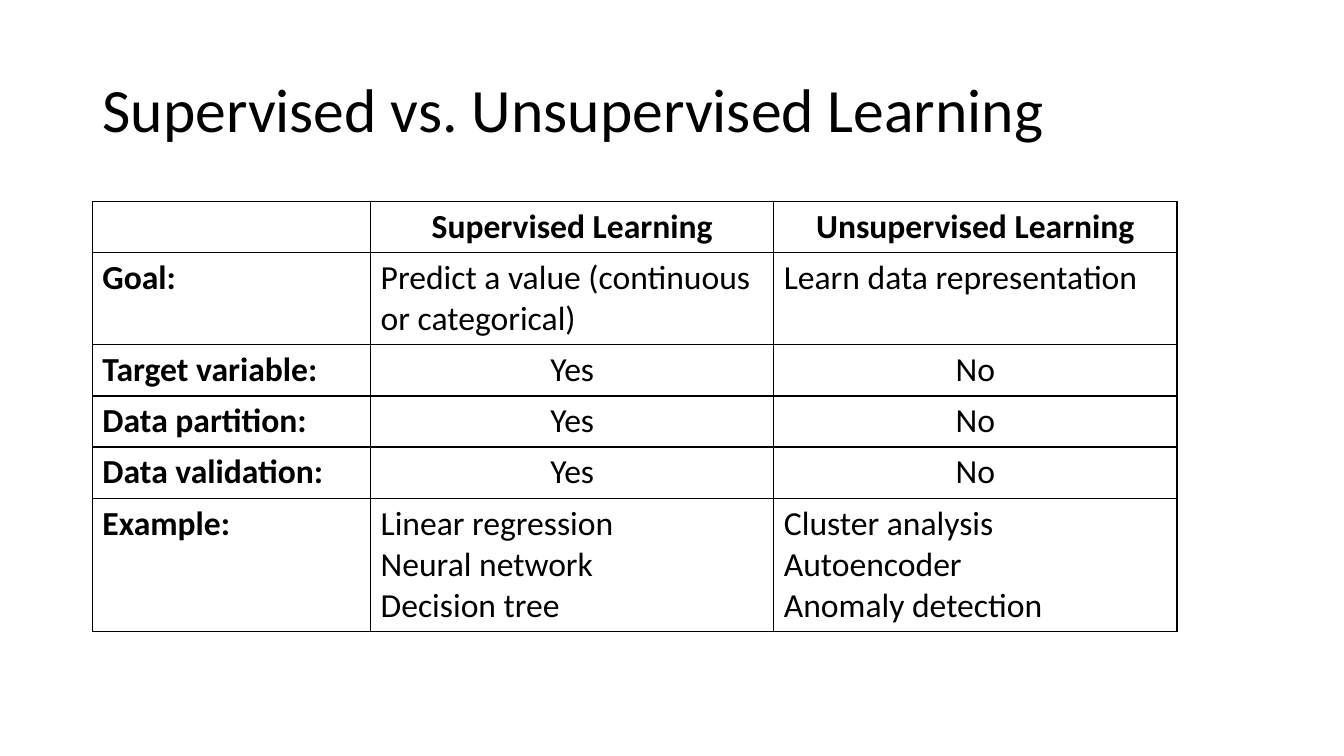
from lxml import etree
from pptx import Presentation
from pptx.dml.color import RGBColor
from pptx.enum.text import MSO_ANCHOR, PP_ALIGN
from pptx.oxml.ns import qn
from pptx.util import Emu, Pt

LEFT, CENTER = PP_ALIGN.LEFT, PP_ALIGN.CENTER
MIDDLE = MSO_ANCHOR.MIDDLE
TITLE_ONLY = 5
BORDER_SIDES = ("a:lnL", "a:lnR", "a:lnT", "a:lnB")

COLUMN_WIDTHS = (265, 384, 384)
COMPARISON = (
    ("", "Supervised Learning", "Unsupervised Learning"),
    ("Goal:", "Predict a value (continuous or categorical)", "Learn data representation"),
    ("Target variable:", "Yes", "No"),
    ("Data partition:", "Yes", "No"),
    ("Data validation:", "Yes", "No"),
    ("Example:", "Linear regression\nNeural network\nDecision tree",
     "Cluster analysis\nAutoencoder\nAnomaly detection"),
)
LINES_PER_ROW = (1, 2, 1, 1, 1, 3)
CENTERED_ROWS = (0, 2, 3, 4)


def px(length):
    return Emu(length * 9525)


def color(hex_value):
    return RGBColor.from_string(hex_value)


class SlideBuilder:
    font_name = "Calibri"
    ink = "000000"
    title_size = 44
    body_size = 24
    line_height = 39
    cell_padding = 9

    def __init__(self, presentation):
        self.slide = presentation.slides.add_slide(presentation.slide_layouts[TITLE_ONLY])

    def style(self, paragraph, size, align=LEFT, bold=False):
        paragraph.alignment = align
        paragraph.font.name = self.font_name
        paragraph.font.size = Pt(size)
        paragraph.font.bold = bold
        paragraph.font.color.rgb = color(self.ink)

    def title(self, text, left, top, width, height):
        heading = self.slide.shapes.title
        heading.left, heading.top = px(left), px(top)
        heading.width, heading.height = px(width), px(height)
        heading.text_frame.text = text
        heading.text_frame.vertical_anchor = MIDDLE
        paragraph = heading.text_frame.paragraphs[0]
        paragraph.line_spacing = 0.9
        self.style(paragraph, self.title_size)

    def border(self, cell):
        properties = cell._tc.get_or_add_tcPr()
        for position, side in enumerate(BORDER_SIDES):
            line = etree.Element(qn(side), w=str(Pt(1)))
            fill = etree.SubElement(line, qn("a:solidFill"))
            etree.SubElement(fill, qn("a:srgbClr"), val=self.ink)
            properties.insert(position, line)

    def cell(self, cell, text, align, bold):
        cell.text = text
        cell.fill.background()
        self.border(cell)
        for paragraph in cell.text_frame.paragraphs:
            self.style(paragraph, self.body_size, align, bold)

    def table(self, rows, left, top, widths, line_counts, centered_rows):
        heights = [count * self.line_height + self.cell_padding for count in line_counts]
        table = self.slide.shapes.add_table(
            len(rows), len(widths), px(left), px(top), px(sum(widths)), px(sum(heights))).table
        table.horz_banding = False
        table.first_row = False
        for column, width in zip(table.columns, widths):
            column.width = px(width)
        for row, height in zip(table.rows, heights):
            row.height = px(height)
        for r, texts in enumerate(rows):
            for c, text in enumerate(texts):
                align = CENTER if c > 0 and r in centered_rows else LEFT
                self.cell(table.cell(r, c), text, align, bold=r == 0 or c == 0)


def main():
    presentation = Presentation()
    presentation.slide_width, presentation.slide_height = px(1280), px(720)
    builder = SlideBuilder(presentation)
    builder.title("Supervised vs. Unsupervised Learning", 88, 38, 1104, 139)
    builder.table(COMPARISON, 88, 192, COLUMN_WIDTHS, LINES_PER_ROW, CENTERED_ROWS)
    presentation.save("out.pptx")


if __name__ == "__main__":
    main()
